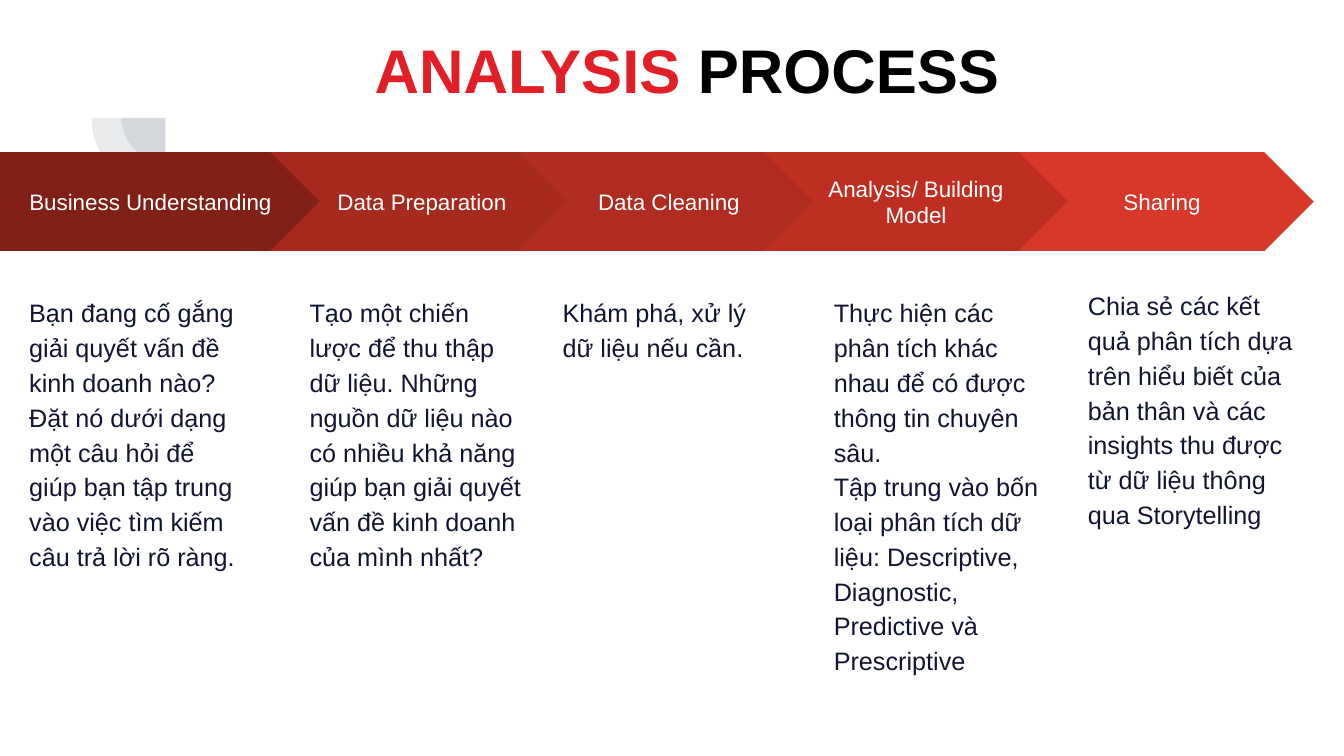
import pptx
import pptx.util
import pptx.dml.color
import pptx.enum.shapes
import pptx.enum.text
import pptx.oxml.ns
from lxml import etree

Inches = pptx.util.Inches
Shape = pptx.enum.shapes.MSO_SHAPE
Align = pptx.enum.text.PP_ALIGN
Anchor = pptx.enum.text.MSO_ANCHOR


def color(code):
    return pptx.dml.color.RGBColor.from_string(code)


class Deck:
    font = "Arial"
    white, ink, red, black, gray = "FFFFFF", "0E1633", "E21F26", "000000", "44546A"

    def __init__(self):
        self.file = pptx.Presentation()
        self.file.slide_width = Inches(13.33)
        self.file.slide_height = Inches(7.5)
        self.slide = self.file.slides.add_slide(self.file.slide_layouts[6])

    def label(self, shape, lines, size, align, anchor, space=1.0, pad=(0.13, 0.13), bold=False):
        """Fill a shape with lines, each a list of (words, color) runs."""
        frame = shape.text_frame
        frame.word_wrap = True
        frame.vertical_anchor = anchor
        frame.margin_left = frame.margin_right = Inches(pad[0])
        frame.margin_top = frame.margin_bottom = Inches(pad[1])
        for i, line in enumerate(lines):
            para = frame.add_paragraph() if i else frame.paragraphs[0]
            para.alignment = align
            para.line_spacing = space
            for words, tone in line:
                run = para.add_run()
                run.text = words
                run.font.name = self.font
                run.font.size = pptx.util.Pt(size)
                run.font.bold = bold
                run.font.color.rgb = color(tone)

    def block(self, kind, box, fill):
        shape = self.slide.shapes.add_shape(kind, *map(Inches, box))
        shape.shadow.inherit = False
        shape.fill.solid()
        shape.fill.fore_color.rgb = color(fill)
        shape.line.fill.background()
        return shape

    def title(self, box, runs):
        shape = self.slide.shapes.add_textbox(*map(Inches, box))
        self.label(shape, [runs], 44, Align.CENTER, Anchor.MIDDLE, 0.9, (0.1, 0.05), True)

    def pie(self, mid, size):
        left, top = (m - size / 2 for m in mid)
        shape = self.block(Shape.PIE, (left, top, size, size), self.gray)
        shape.rotation = 270
        shape.adjustments[0] = 107.93
        shape.adjustments[1] = 162
        tint = next(shape.element.spPr.iter(pptx.oxml.ns.qn("a:srgbClr")))
        etree.SubElement(tint, pptx.oxml.ns.qn("a:alpha"), val="12000")

    def arrow(self, kind, left, width, fill, name):
        shape = self.block(kind, (left, 1.51, width, 0.98), fill)
        shape.adjustments[0] = 0.5
        self.label(shape, [[(name, self.white)]], 16, Align.CENTER, Anchor.MIDDLE)

    def note(self, left, top, height, lines):
        shape = self.slide.shapes.add_textbox(*map(Inches, (left, top, 2.37, height)))
        lines = [[(line, self.ink)] for line in lines]
        self.label(shape, lines, 18, Align.LEFT, Anchor.TOP, 1.15)


# Arrow left, fill, name; note left, top, height, lines; from back to front
STEPS = [
    (0, "802017", "Business Understanding", 0.16, 2.78, 3.43, [
        "Bạn đang cố gắng giải quyết vấn đề kinh doanh nào? Đặt nó dưới dạng một câu hỏi "
        "để giúp bạn tập trung vào việc tìm kiếm câu trả lời rõ ràng."]),
    (2.68, "A72A1E", "Data Preparation", 2.94, 2.78, 3.43, [
        "Tạo một chiến lược để thu thập dữ liệu. Những nguồn dữ liệu nào có nhiều khả năng "
        "giúp bạn giải quyết vấn đề kinh doanh của mình nhất?"]),
    (5.13, "B02C20", "Data Cleaning", 5.45, 2.78, 3.43, [
        "Khám phá, xử lý dữ liệu nếu cần."]),
    (10.02, "D83829", "Sharing", 10.66, 2.71, 3.43, [
        "Chia sẻ các kết quả phân tích dựa trên hiểu biết của bản thân và các insights "
        "thu được từ dữ liệu thông qua Storytelling"]),
    (7.58, "BE2F22", "Analysis/ Building Model", 8.14, 2.78, 4.04, [
        "Thực hiện các phân tích khác nhau để có được thông tin chuyên sâu.",
        "Tập trung vào bốn loại phân tích dữ liệu: Descriptive, Diagnostic, Predictive và "
        "Prescriptive"]),
]


def main():
    deck = Deck()

    # Corner mark
    for size in (0.87, 1.46):
        deck.pie((1.64, 1.17), size)

    # Title
    deck.title((1.69, 0.3, 10.25, 0.86), [("ANALYSIS", deck.red), (" PROCESS", deck.black)])

    # Steps: the first has a flat left edge
    for i, (left, fill, name, start, top, height, lines) in enumerate(STEPS):
        kind, width = (Shape.CHEVRON, 3.01) if i else (Shape.PENTAGON, 3.23)
        deck.arrow(kind, left, width, fill, name)
        deck.note(start, top, height, lines)

    deck.file.save("out.pptx")


if __name__ == "__main__":
    main()
